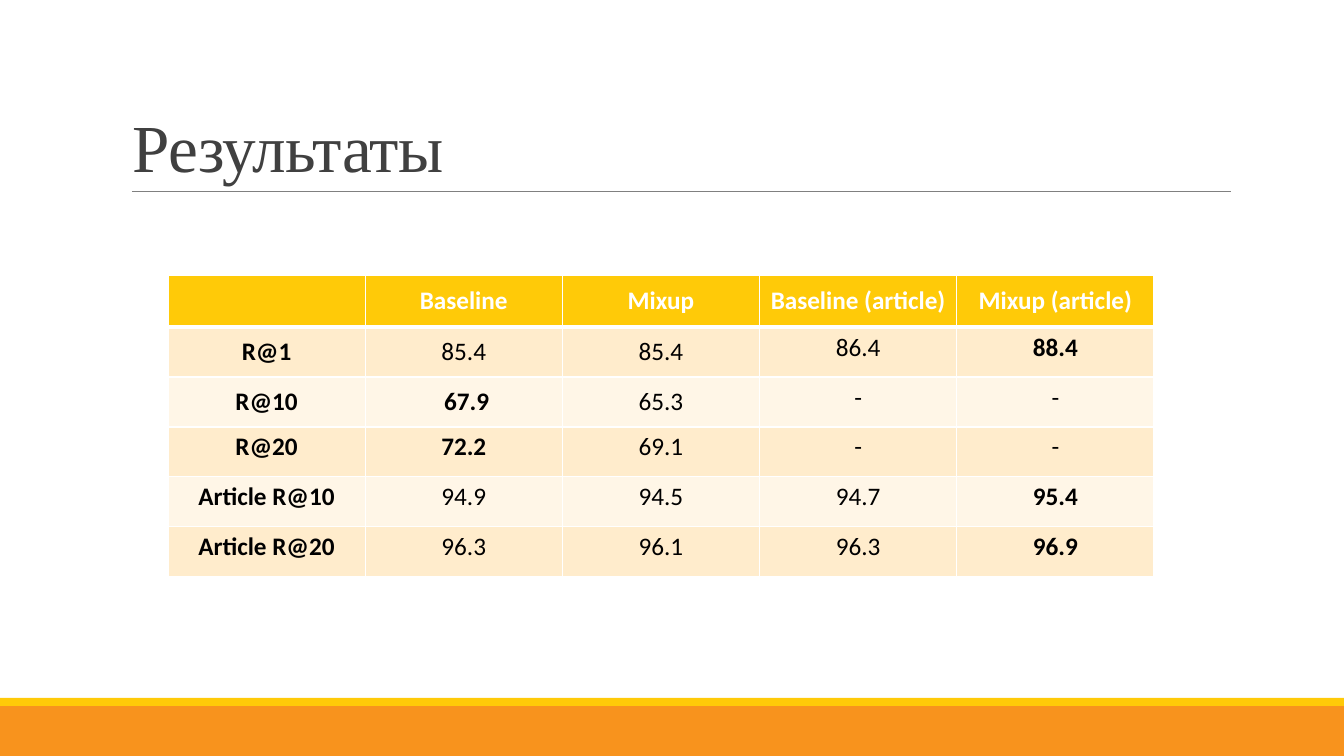
import dataclasses

import lxml.etree
import pptx
import pptx.dml.color
import pptx.enum.shapes
import pptx.enum.text
import pptx.oxml.ns
import pptx.util

PX = 914400 / 100.8
ALIGN = pptx.enum.text.PP_ALIGN
ANCHOR = pptx.enum.text.MSO_ANCHOR
SHAPE = pptx.enum.shapes.MSO_SHAPE
LINK = pptx.enum.shapes.MSO_CONNECTOR
qn = pptx.oxml.ns.qn


@dataclasses.dataclass(frozen=True)
class Theme:
    """Colours, fonts and type sizes of the slide."""
    orange: str = "F8931D"
    gold: str = "FFCA08"
    bands: tuple = ("FFECCC", "FFF6E7")
    rule: str = "808080"
    title: str = "404040"
    ink: str = "000000"
    white: str = "FFFFFF"
    serif: str = "Times New Roman"
    sans: str = "Calibri"
    head: int = 48
    body: int = 18


THEME = Theme()
ROWS = [
    ["", "Baseline", "Mixup", "Baseline (article)", "Mixup (article)"],
    ["R@1", "85.4", "85.4", "86.4", "88.4"],
    ["R@10", " 67.9", "65.3", "-", "-"],
    ["R@20", "72.2", "69.1", "-", "-"],
    ["Article R@10", "94.9", "94.5", "94.7", "95.4"],
    ["Article R@20", "96.3", "96.1", "96.3", "96.9"],
]


def px(*nums):
    """Turn pixel lengths into a list of EMU."""
    return [round(num * PX) for num in nums]


def rgb(code):
    """Return a colour object for a hex code."""
    return pptx.dml.color.RGBColor.from_string(code)


def write(frame, text, size=THEME.body, font=THEME.sans, color=THEME.ink,
          bold=False, align=ALIGN.LEFT, lines=None, track=None):
    """Put one formatted line of text in a frame."""
    para = frame.paragraphs[0]
    para.alignment = align
    if lines:
        para.line_spacing = lines
    run = para.add_run()
    run.text = text
    run.font.size = pptx.util.Pt(size)
    run.font.name = font
    run.font.bold = bold
    run.font.color.rgb = rgb(color)
    if track:
        run.font._element.set("spc", str(track))


def edge(cell, side, width):
    """Draw one white border of a cell."""
    line = lxml.etree.SubElement(cell._tc.get_or_add_tcPr(), qn("a:ln" + side),
                                 w=str(pptx.util.Pt(width)))
    fill = lxml.etree.SubElement(line, qn("a:solidFill"))
    lxml.etree.SubElement(fill, qn("a:srgbClr"), val=THEME.white)


def bar(slide, box, color):
    """Draw a plain filled rectangle."""
    shape = slide.shapes.add_shape(SHAPE.RECTANGLE, *px(*box))
    shape.shadow.inherit = False
    shape.fill.solid()
    shape.fill.fore_color.rgb = rgb(color)
    shape.line.fill.background()


def footer(slide, left, top, width, height):
    """Draw the two bars along the bottom."""
    strip = 8
    bar(slide, (left, top + strip, width, height - strip), THEME.orange)
    bar(slide, (left, top, width, strip), THEME.gold)


def heading(slide, left, top, width, height):
    """Write the title and the thin rule below it."""
    base = top + height
    line = slide.shapes.add_connector(
        LINK.STRAIGHT, *px(left + 9, base, left + 1108, base))
    line.line.color.rgb = rgb(THEME.rule)
    line.line.width = pptx.util.Pt(0.5)
    lxml.etree.SubElement(line._element.spPr, qn("a:effectLst"))
    frame = slide.shapes.add_textbox(*px(left, top, width, height)).text_frame
    frame.word_wrap = True
    frame.vertical_anchor = ANCHOR.BOTTOM
    write(frame, "Результаты", size=THEME.head, font=THEME.serif,
          color=THEME.title, lines=0.85, track=-50)


def results(slide, left, top, width, height):
    """Build the score table with the best value of each row in bold."""
    table = slide.shapes.add_table(len(ROWS), len(ROWS[0]),
                                   *px(left, top, width, height)).table
    table.first_row = table.horz_banding = False
    for col in table.columns:
        col.width = px(width / len(ROWS[0]))[0]
    step = (height - 2) // len(ROWS)
    for i, row in enumerate(ROWS):
        table.rows[i].height = px(step if i else height - step * (len(ROWS) - 1))[0]
        best = max(row[1:], key=str.strip)
        for j, text in enumerate(row):
            cell = table.cell(i, j)
            middle = i == 0 or (i < 3 and j < 3)
            cell.vertical_anchor = ANCHOR.MIDDLE if middle else ANCHOR.TOP
            for side in "LRTB":
                heavy = (i, side) in ((0, "B"), (1, "T"))
                edge(cell, side, 3 if heavy else 1)
            cell.fill.solid()
            cell.fill.fore_color.rgb = rgb(THEME.bands[(i - 1) % 2] if i else THEME.gold)
            if text:
                write(cell.text_frame, text, align=ALIGN.CENTER,
                      color=THEME.ink if i else THEME.white,
                      bold=i == 0 or j == 0 or text == best)


def main():
    """Build the slide and save it."""
    deck = pptx.Presentation()
    deck.slide_width, deck.slide_height = px(1344, 756)
    slide = deck.slides.add_slide(deck.slide_layouts[6])
    footer(slide, 0, 698, 1344, 58)
    heading(slide, 123, 60, 1018, 131)
    results(slide, 168, 275, 986, 302)
    deck.save("out.pptx")


if __name__ == "__main__":
    main()
